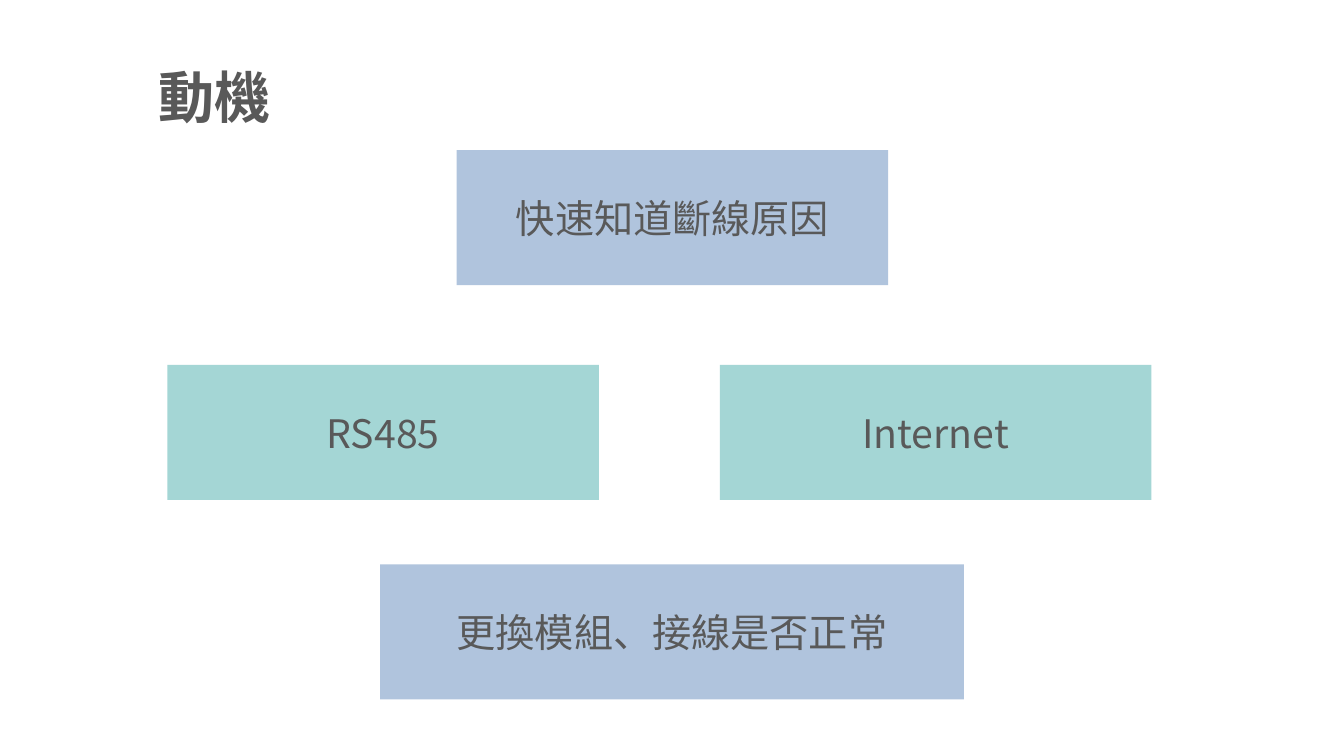
import pptx
import pptx.dml.color
import pptx.enum.shapes
import pptx.enum.text
import pptx.oxml.ns
import pptx.util
import lxml.etree

Inches = pptx.util.Inches
FONT = "Noto Sans CJK SC"
GRAY, BLUE, TEAL = "595959", "B0C4DD", "A4D6D5"
BOX_HIGH, TEXT_DROP, TEXT_HIGH = 1.34, 0.39, 0.57


def color(code):
    return pptx.dml.color.RGBColor.from_string(code)


def add_text(shapes, text, left, top, width, height, size,
             bold=False, center=False, wrap=True):
    box = shapes.add_textbox(Inches(left), Inches(top),
                             Inches(width), Inches(height))
    frame = box.text_frame
    frame.word_wrap = wrap
    frame.auto_size = pptx.enum.text.MSO_AUTO_SIZE.SHAPE_TO_FIT_TEXT
    para = frame.paragraphs[0]
    para.text = text
    if center:
        para.alignment = pptx.enum.text.PP_ALIGN.CENTER
    font = para.font
    font.size = pptx.util.Pt(size)
    font.bold = bold
    font.color.rgb = color(GRAY)
    font.name = FONT
    # Chinese glyphs take their typeface from a:ea
    latin = para._p.find(".//" + pptx.oxml.ns.qn("a:latin"))
    asian = lxml.etree.Element(pptx.oxml.ns.qn("a:ea"), typeface=FONT)
    latin.addnext(asian)


def add_card(slide, text, fill, left, top, width, text_width):
    """Group a filled box with a label centred across it."""
    shapes = slide.shapes.add_group_shape().shapes
    box = shapes.add_shape(pptx.enum.shapes.MSO_SHAPE.RECTANGLE,
                           Inches(left), Inches(top),
                           Inches(width), Inches(BOX_HIGH))
    box.shadow.inherit = False
    box.fill.solid()
    box.fill.fore_color.rgb = color(fill)
    box.line.fill.background()
    add_text(shapes, text, left + (width - text_width) / 2, top + TEXT_DROP,
             text_width, TEXT_HIGH, 28, center=True)


def main():
    deck = pptx.Presentation()
    deck.slide_width = Inches(13.33)
    deck.slide_height = Inches(7.5)
    slide = deck.slides.add_slide(deck.slide_layouts[6])
    add_text(slide.shapes, "動機", 1.47, 0.57, 1.32, 0.77, 40,
             bold=True, wrap=False)
    cards = [
        ("快速知道斷線原因", BLUE, 4.53, 1.49, 4.28, 3.43),
        ("Internet", TEAL, 7.14, 3.62, 4.28, 3.74),
        ("RS485", TEAL, 1.66, 3.62, 4.28, 3.74),
        ("更換模組、接線是否正常", BLUE, 3.77, 5.6, 5.79, 4.64),
    ]
    for card in cards:
        add_card(slide, *card)
    deck.save("out.pptx")


if __name__ == "__main__":
    main()
